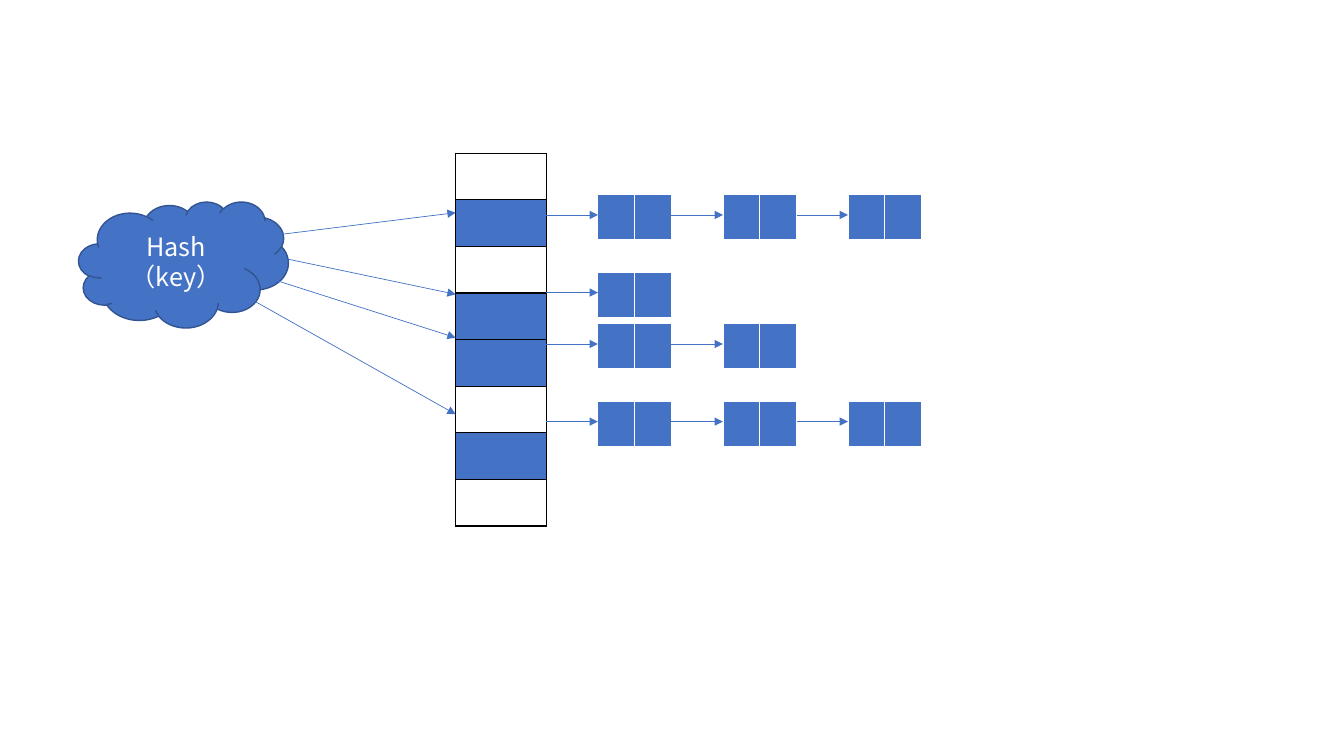
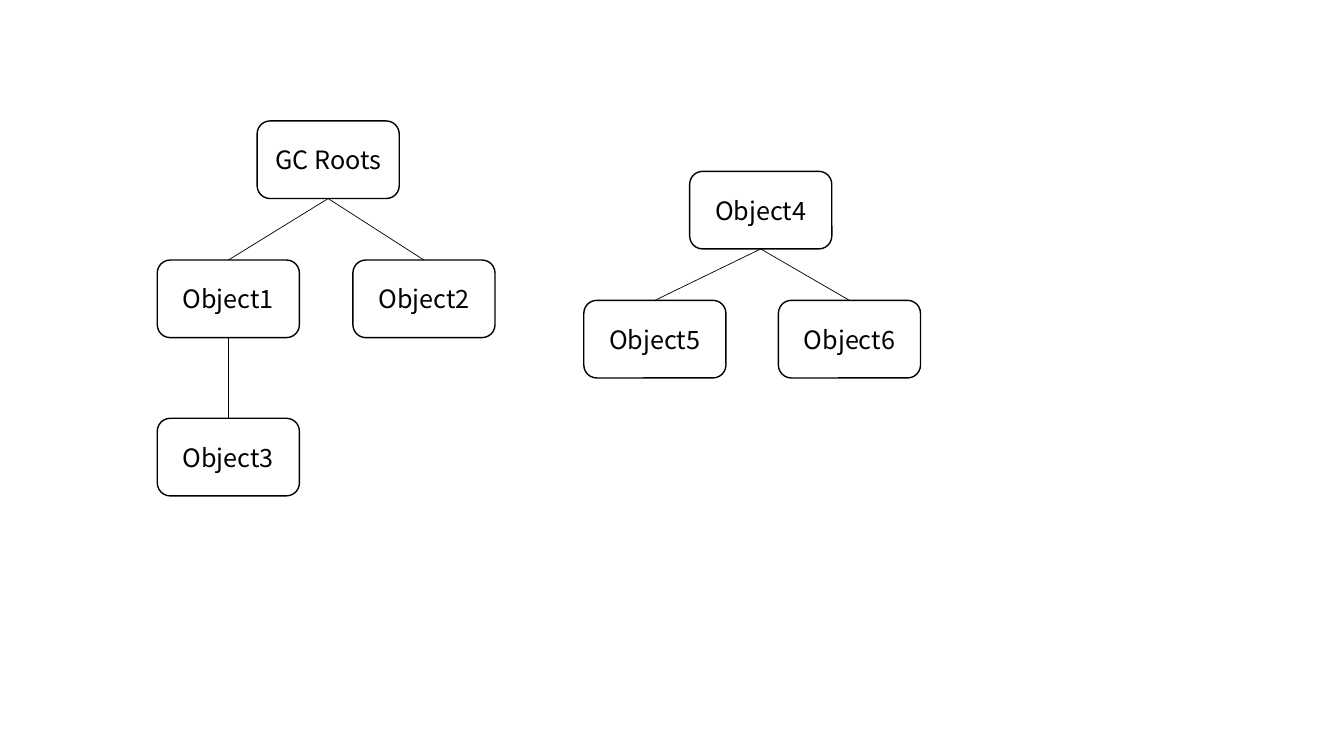
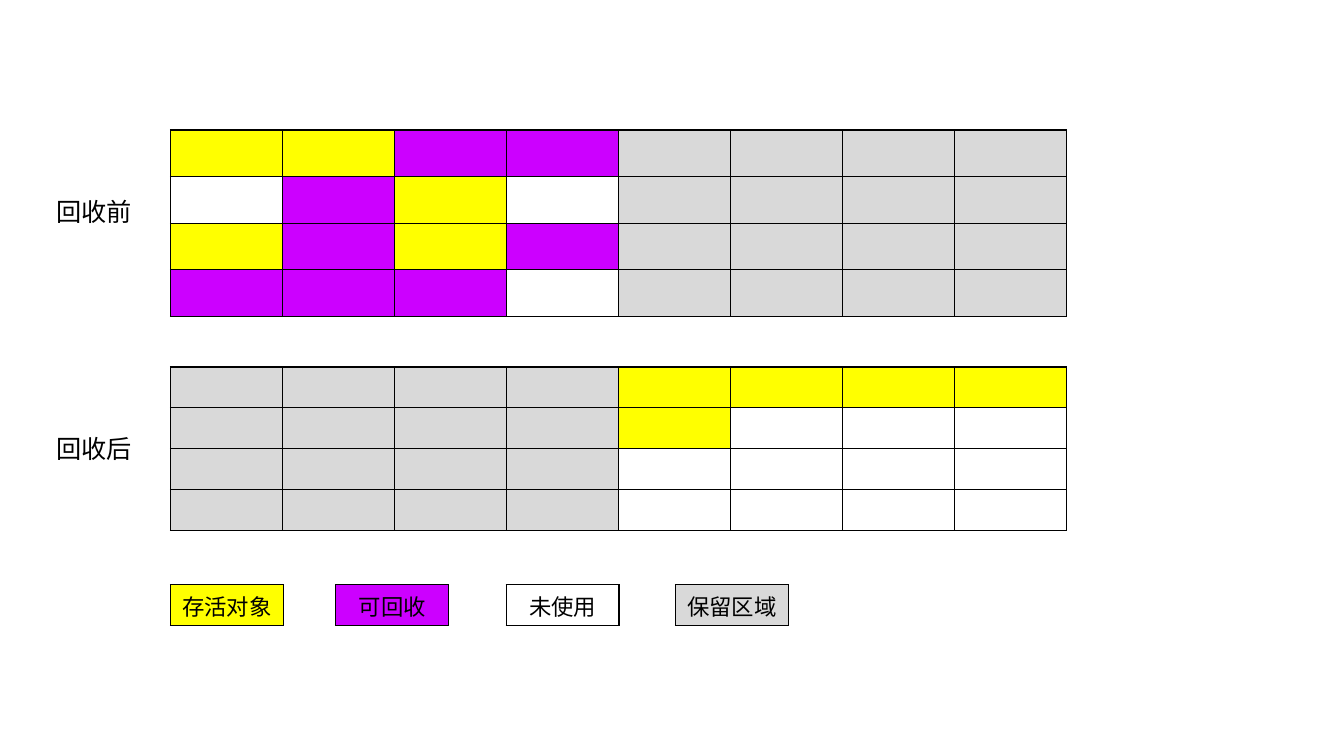
"""Build three diagram slides: hash buckets, object reachability and memory collection."""
from lxml import etree
from pptx import Presentation
from pptx.dml.color import RGBColor
from pptx.enum.shapes import MSO_CONNECTOR, MSO_SHAPE
from pptx.enum.text import MSO_ANCHOR, MSO_AUTO_SIZE, PP_ALIGN
from pptx.oxml.ns import qn
from pptx.util import Inches, Pt

STRAIGHT = MSO_CONNECTOR.STRAIGHT
CLOUD, ROUNDED = MSO_SHAPE.CLOUD, MSO_SHAPE.ROUNDED_RECTANGLE
MIDDLE, CENTER, LEFT = MSO_ANCHOR.MIDDLE, PP_ALIGN.CENTER, PP_ALIGN.LEFT
GROW = MSO_AUTO_SIZE.SHAPE_TO_FIT_TEXT

FONT = "Noto Sans CJK SC"
BLACK, WHITE, BLUE, NAVY = "000000", "FFFFFF", "4472C4", "325491"
BLACK_GRID = {"L": (BLACK, 1), "R": (BLACK, 1), "T": (BLACK, 1), "B": (BLACK, 1)}
WHITE_GRID = {"L": (WHITE, 1), "R": (WHITE, 1), "T": (WHITE, 1), "B": (WHITE, 3)}
FILLS = {"A": "FFFF00", "C": "CC00FF", "R": "D9D9D9", "W": WHITE, "B": BLUE, "-": None}

ROW = 0.405

HASH_CLOUD = ("Hash（key）", 0.78, 2, 2.08, 1.25)
BUCKETS = ["-", "B", "-", "B", "B", "-", "B", "-"]
BUCKET_LEFT, BUCKET_TOP, BUCKET_WIDTH = 4.52, 1.52, 0.9
HASH_ARROWS = [(2.67, 2.34, 2.11), (2.85, 2.57, 2.92), (2.67, 2.76, 3.35), (2.44, 2.94, 4.11)]
CHAINS = [(1.93, 3), (2.7, 1), (3.21, 2), (3.98, 3)]
ENTRY_WIDTH, ENTRY_GAP = 0.73, 0.51

NODE_WIDTH, NODE_HEIGHT = 1.41, 0.77
NODES = {
    "GC Roots": (2.55, 1.2), "Object1": (1.56, 2.58), "Object2": (3.5, 2.58),
    "Object3": (1.56, 4.15), "Object4": (6.84, 1.7), "Object5": (5.79, 2.98),
    "Object6": (7.72, 2.98),
}
EDGES = [("GC Roots", "Object1"), ("GC Roots", "Object2"), ("Object1", "Object3"),
         ("Object4", "Object5"), ("Object4", "Object6")]

MEMORY_LEFT, MEMORY_WIDTH = 1.69, 8.89
MEMORY = [
    ("回收前", 1.29, ["AACCRRRR", "-CA-RRRR", "ACACRRRR", "CCC-RRRR"]),
    ("回收后", 3.64, ["RRRRAAAA", "RRRRAWWW", "RRRRWWWW", "RRRRWWWW"]),
]
CAPTION_LEFT, CAPTION_DROP, CAPTION_WIDTH, CAPTION_HEIGHT = 0.46, 0.61, 1.08, 0.4
LEGEND_TOP, LEGEND_WIDTH = 5.8, 1.12
LEGEND = [("存活对象", "A", 1.69), ("可回收", "C", 3.33), ("未使用", "W", 5.02), ("保留区域", "R", 6.7)]


def color(value):
    return RGBColor.from_string(value)


def set_fonts(properties):
    for tag in ("a:latin", "a:ea"):
        etree.SubElement(properties, qn(tag), typeface=FONT)


def write(frame, text, size=18, ink=BLACK, align=CENTER):
    para = frame.paragraphs[0]
    para.alignment = align
    if not text:
        ending = para._p.get_or_add_endParaRPr()
        ending.set("sz", str(size * 100))
        set_fonts(ending)
        return
    span = para.add_run()
    span.text = text
    span.font.size = Pt(size)
    span.font.color.rgb = color(ink)
    set_fonts(span.font._element)


def add_box(page, kind, text, area, fill, line, ink):
    box = page.shapes.add_shape(kind, *map(Inches, area))
    box.shadow.inherit = False
    box.fill.solid()
    box.fill.fore_color.rgb = color(fill)
    box.line.color.rgb = color(line)
    box.line.width = Pt(1)
    box.text_frame.word_wrap = True
    box.text_frame.vertical_anchor = MIDDLE
    write(box.text_frame, text, ink=ink)


def add_line(page, start, end, ink, arrow=False):
    line = page.shapes.add_connector(STRAIGHT, *map(Inches, start + end))
    line.line.color.rgb = color(ink)
    line.line.width = Pt(0.5)
    if arrow:
        etree.SubElement(line.line._get_or_add_ln(), qn("a:tailEnd"), type="triangle")
    etree.SubElement(line._element.spPr, qn("a:effectLst"))


def add_borders(cell, borders):
    properties = cell._tc.get_or_add_tcPr()
    for side, (ink, width) in borders.items():
        edge = etree.SubElement(properties, qn(f"a:ln{side}"), w=str(Pt(width)))
        fill = etree.SubElement(edge, qn("a:solidFill"))
        etree.SubElement(fill, qn("a:srgbClr"), val=ink)


def add_grid(page, left, top, width, rows, borders=BLACK_GRID, text="", size=18):
    area = map(Inches, (left, top, width, ROW * len(rows)))
    table = page.shapes.add_table(len(rows), len(rows[0]), *area).table
    table.first_row = table.horz_banding = False
    codes = "".join(rows)
    for cell, code in zip(table.iter_cells(), codes):
        add_borders(cell, borders)
        if FILLS[code]:
            cell.fill.solid()
            cell.fill.fore_color.rgb = color(FILLS[code])
        else:
            cell.fill.background()
        write(cell.text_frame, text, size)


def draw_hash(page):
    text, *area = HASH_CLOUD
    add_box(page, CLOUD, text, area, BLUE, NAVY, WHITE)
    add_grid(page, BUCKET_LEFT, BUCKET_TOP, BUCKET_WIDTH, BUCKETS)
    for left, top, target in HASH_ARROWS:
        add_line(page, (left, top), (BUCKET_LEFT, target), BLUE, arrow=True)
    for top, count in CHAINS:
        middle = top + ROW / 2
        for index in range(count):
            start = BUCKET_LEFT + BUCKET_WIDTH + index * (ENTRY_WIDTH + ENTRY_GAP)
            left = start + ENTRY_GAP
            add_grid(page, left, top, ENTRY_WIDTH, ["BB"], WHITE_GRID)
            add_line(page, (start, middle), (left, middle), BLUE, arrow=True)


def draw_objects(page):
    for name, place in NODES.items():
        add_box(page, ROUNDED, name, place + (NODE_WIDTH, NODE_HEIGHT), WHITE, BLACK, BLACK)
    for parent, child in EDGES:
        (parent_left, parent_top), (child_left, child_top) = NODES[parent], NODES[child]
        start = (parent_left + NODE_WIDTH / 2, parent_top + NODE_HEIGHT)
        add_line(page, start, (child_left + NODE_WIDTH / 2, child_top), BLACK)


def draw_memory(page):
    for caption, top, rows in MEMORY:
        add_grid(page, MEMORY_LEFT, top, MEMORY_WIDTH, rows)
        area = (CAPTION_LEFT, top + CAPTION_DROP, CAPTION_WIDTH, CAPTION_HEIGHT)
        frame = page.shapes.add_textbox(*map(Inches, area)).text_frame
        frame.word_wrap = True
        frame.auto_size = GROW
        write(frame, caption, align=LEFT)
    for text, code, left in LEGEND:
        add_grid(page, left, LEGEND_TOP, LEGEND_WIDTH, [code], text=text, size=16)


deck = Presentation()
deck.slide_width, deck.slide_height = Inches(13.33), Inches(7.5)
for draw in (draw_hash, draw_objects, draw_memory):
    draw(deck.slides.add_slide(deck.slide_layouts[6]))
deck.save("out.pptx")
